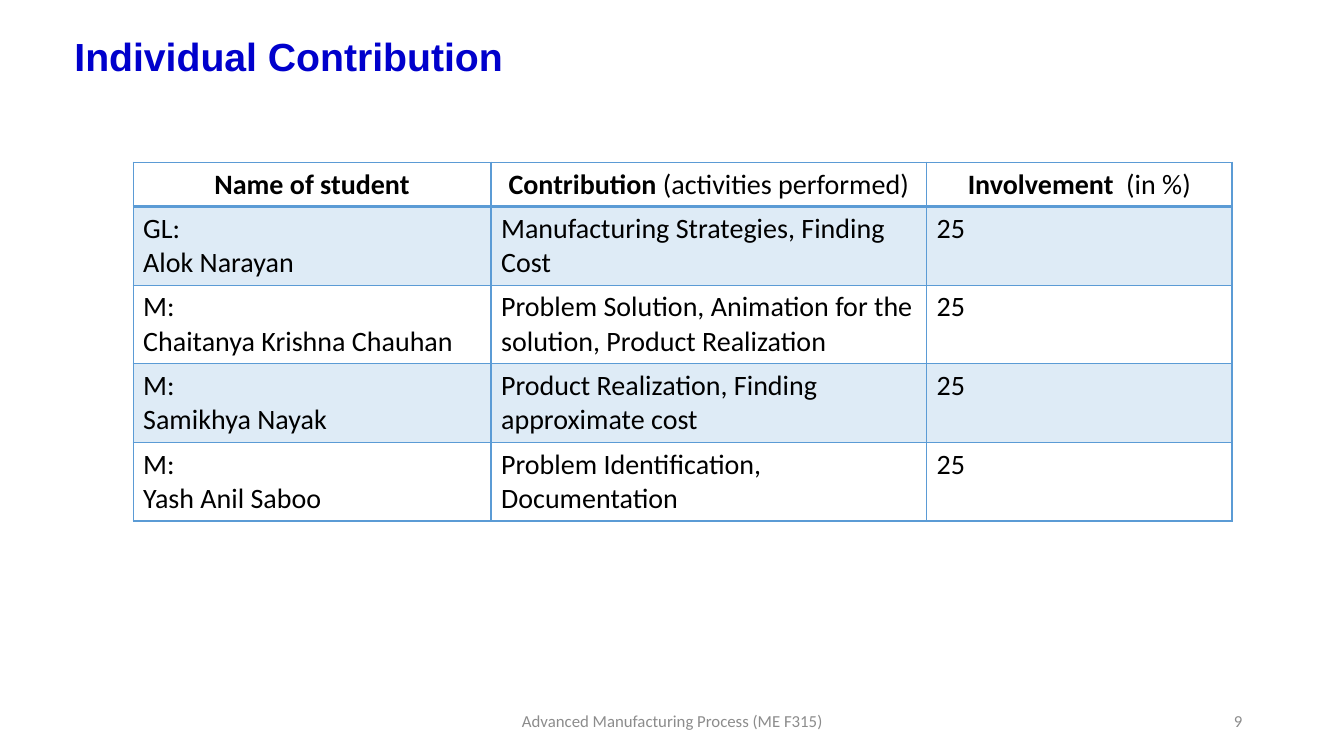
"""Build the individual contribution slide with its table of students."""
from lxml import etree
from pptx import Presentation
from pptx.dml.color import RGBColor
from pptx.enum.text import MSO_ANCHOR, PP_ALIGN
from pptx.oxml import parse_xml
from pptx.oxml.ns import nsdecls, qn
from pptx.util import Inches, Pt

LEFT, CENTER, RIGHT, JUSTIFY = PP_ALIGN.LEFT, PP_ALIGN.CENTER, PP_ALIGN.RIGHT, PP_ALIGN.JUSTIFY
MIDDLE = MSO_ANCHOR.MIDDLE
BLUE, GRAY = "5B9BD5", "8C8C8C"


def color(value):
    return RGBColor.from_string(value)


def add_run(p, text, size=20, font="Calibri", fill="000000", bold=False, align=LEFT):
    p.alignment = align
    r = p.add_run()
    r.text = text
    r.font.size = Pt(size)
    r.font.name = font
    r.font.bold = bold
    r.font.color.rgb = color(fill)


prs = Presentation()
prs.slide_width, prs.slide_height = Inches(13.33), Inches(7.5)
s = prs.slides.add_slide(prs.slide_layouts[6])

texts = [
    ("Individual Contribution", (0.64, 0.23, 11.5, 0.7),
     dict(size=28, font="Arial", fill="0000CC", bold=True, align=JUSTIFY)),
    ("Advanced Manufacturing Process (ME F315)", (4.42, 6.95, 4.5, 0.4),
     dict(size=12, fill=GRAY, align=CENTER)),
    ("9", (9.42, 6.95, 3, 0.4), dict(size=12, fill=GRAY, align=RIGHT)),
]
for text, box, style in texts:
    tf = s.shapes.add_textbox(*map(Inches, box)).text_frame
    tf.word_wrap = True
    tf.vertical_anchor = MIDDLE
    tf.paragraphs[0].line_spacing = 0.9 if style["size"] == 28 else 1.0
    add_run(tf.paragraphs[0], text, **style)

headers = [("Name of student", ""), ("Contribution ", "(activities performed)"),
           ("Involvement  ", "(in %)")]
students = [
    ("GL:\nAlok Narayan", "Manufacturing Strategies, Finding Cost", "25"),
    ("M:\nChaitanya Krishna Chauhan",
     "Problem Solution, Animation for the solution, Product Realization", "25"),
    ("M:\nSamikhya Nayak", "Product Realization, Finding approximate cost", "25"),
    ("M:\nYash Anil Saboo", "Problem Identification, Documentation", "25"),
]
widths = [3.55, 4.32, 3.03]
heights = [0.44] + [0.78] * len(students)
table = s.shapes.add_table(len(heights), len(widths), Inches(1.32), Inches(1.61),
                           Inches(sum(widths)), Inches(sum(heights))).table
for column, width in zip(table.columns, widths):
    column.width = Inches(width)
for row, height in zip(table.rows, heights):
    row.height = Inches(height)

for i, row in enumerate(table.rows):
    for j, cell in enumerate(row.cells):
        tf = cell.text_frame
        if i == 0:
            title, note = headers[j]
            add_run(tf.paragraphs[0], title, bold=True, align=CENTER)
            if note:
                add_run(tf.paragraphs[0], note, align=CENTER)
        else:
            for n, line in enumerate(students[i - 1][j].split("\n")):
                add_run(tf.add_paragraph() if n else tf.paragraphs[0], line)

        tc_pr = cell._tc.get_or_add_tcPr()
        for side in "LRTB":
            thick = (i, side) in [(0, "B"), (1, "T")]
            tc_pr.append(parse_xml(
                f'<a:ln{side} {nsdecls("a")} w="{Pt(2 if thick else 1)}"><a:solidFill>'
                f'<a:srgbClr val="{BLUE}"/></a:solidFill></a:ln{side}>'))
        if i % 2:
            cell.fill.solid()
            cell.fill.fore_color.rgb = color(BLUE)
            shade = tc_pr.find(qn("a:solidFill")).find(qn("a:srgbClr"))
            etree.SubElement(shade, qn("a:alpha"), val="20000")
        else:
            cell.fill.background()

prs.save("out.pptx")
